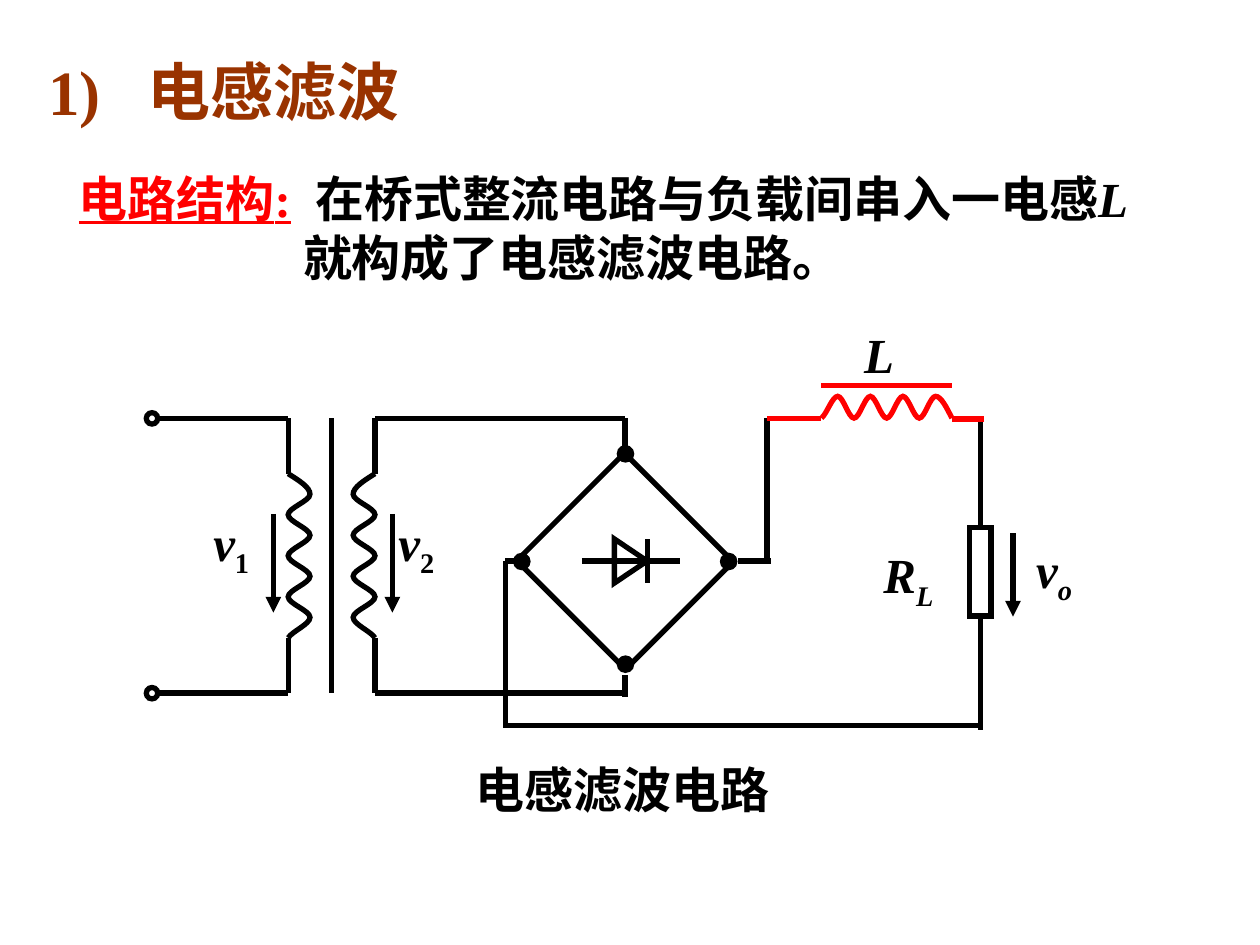
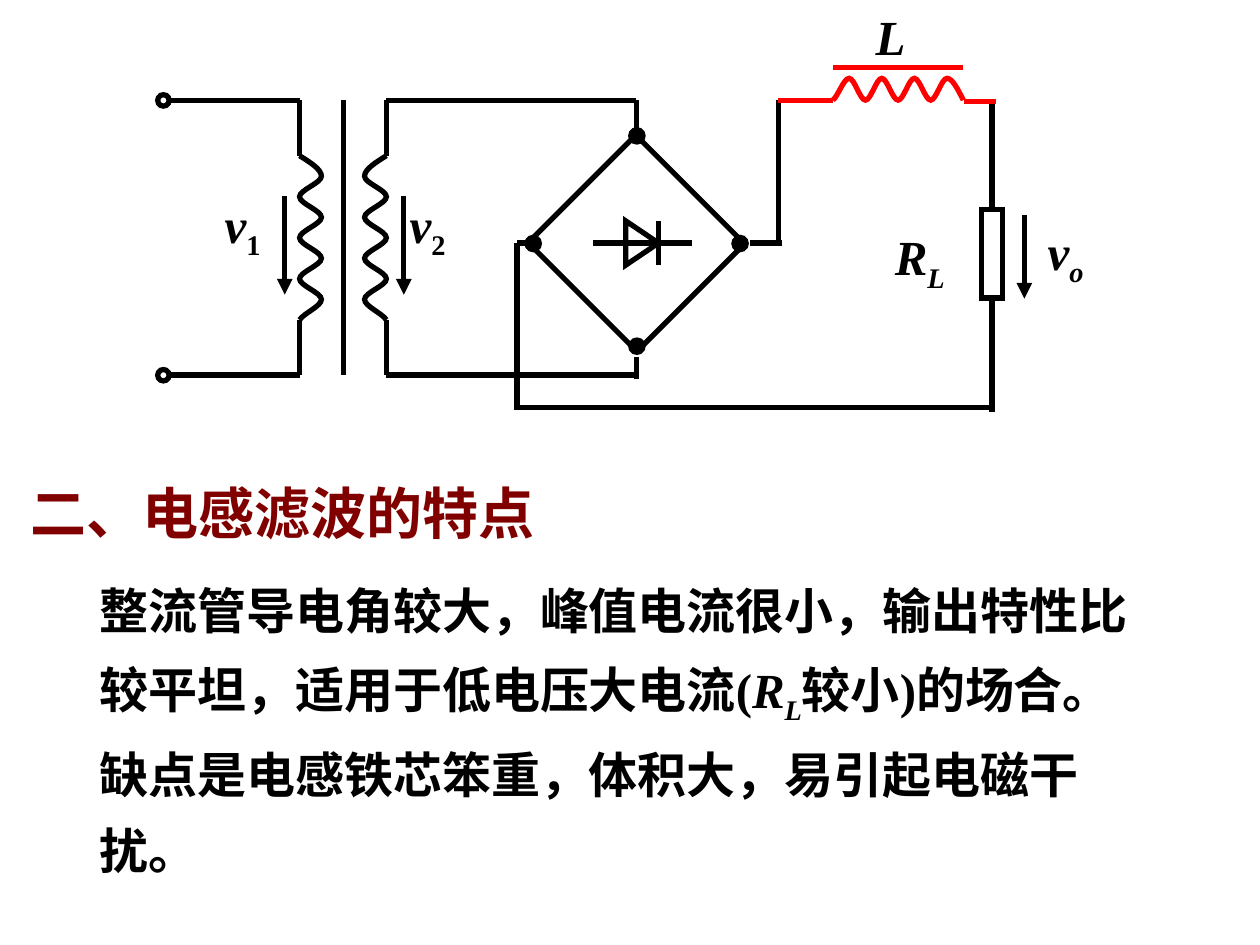
from lxml.etree import SubElement
from pptx import Presentation
from pptx.dml.color import RGBColor
from pptx.enum.lang import MSO_LANGUAGE_ID
from pptx.enum.shapes import MSO_CONNECTOR, MSO_SHAPE
from pptx.enum.text import MSO_ANCHOR
from pptx.oxml.ns import qn
from pptx.util import Cm, Pt

BLACK, WHITE, RED = "000000", "FFFFFF", "FF0000"
BROWN, MAROON = "993300", "800000"
HAN = {"font": "Arial"}
LATIN = {"font": "Times New Roman"}
ITALIC = {**LATIN, "italic": True}
SUBSCRIPT = {**LATIN, "baseline": -25}
ITALIC_SUBSCRIPT = {**ITALIC, "baseline": -25}


def color(code):
    """Turn a hex string into a colour."""
    return RGBColor.from_string(code)


def curve_segments(shape):
    """Turn every three straight segments of an outline into one cubic curve."""
    corners = list(shape._element.iter(qn("a:lnTo")))
    for first, second, third in zip(corners[::3], corners[1::3], corners[2::3]):
        first.tag = qn("a:cubicBezTo")
        for corner in (second, third):
            first.append(corner[0])
            corner.getparent().remove(corner)


class Sketch:
    """Holds the style, the current slide and the drawing offset."""

    def __init__(self):
        """Start an empty deck."""
        self.deck = Presentation()
        self.deck.slide_width, self.deck.slide_height = Cm(25.4), Cm(19.05)
        self.page = None
        self.shift = (0, 0)

    def new_page(self):
        """Add a blank slide and reset the offset."""
        self.page = self.deck.slides.add_slide(self.deck.slide_layouts[6])
        self.shift = (0, 0)

    def point(self, x, y):
        """Place a point with the current offset."""
        return Cm(x + self.shift[0]), Cm(y + self.shift[1])

    def outline(self, item, ink=BLACK, width=3):
        """Set the line of a shape or connector, with sharp corners."""
        item.line.color.rgb = color(ink)
        item.line.width = Pt(width)
        SubElement(item.line._get_or_add_ln(), qn("a:miter"), lim="800000")

    def line(self, start, end, ink=BLACK, arrow=False):
        """Draw a straight wire or an arrow."""
        wire = self.page.shapes.add_connector(
            MSO_CONNECTOR.STRAIGHT, *self.point(*start), *self.point(*end))
        self.outline(wire, ink)
        properties = wire.line._get_or_add_ln()
        if arrow:
            SubElement(properties, qn("a:tailEnd"), type="triangle")
        SubElement(properties.getparent(), qn("a:effectLst"))

    def route(self, *stops, ink=BLACK):
        """Draw wires through a list of points."""
        for start, end in zip(stops, stops[1:]):
            self.line(start, end, ink)

    def shape(self, kind, place, fill=None, width=3, rotation=0):
        """Draw a preset shape."""
        x, y, wide, high = place
        item = self.page.shapes.add_shape(kind, *self.point(x, y), Cm(wide), Cm(high))
        item.shadow.inherit = False
        item.rotation = rotation
        if fill:
            item.fill.solid()
            item.fill.fore_color.rgb = color(fill)
        else:
            item.fill.background()
        self.outline(item, width=width)

    def coil(self, start, along, across, ink=BLACK):
        """Draw a winding of four humps as an open curve."""
        rises = [.5, 1, 1] + [1, 0, 0, 0, 1, 1] * 3 + [1, .2, 0]
        points = [
            self.point(*(origin + step / len(rises) * forward + rise * out
                         for origin, forward, out in zip(start, along, across)))
            for step, rise in enumerate([0] + rises)]
        builder = self.page.shapes.build_freeform(*points[0])
        builder.add_line_segments(points[1:], close=False)
        winding = builder.convert_to_shape()
        curve_segments(winding)
        winding.shadow.inherit = False
        winding.fill.background()
        self.outline(winding, ink)

    def text(self, place, spans, size=28, ink=BLACK, anchor=MSO_ANCHOR.TOP,
             spacing=None, hanging=0):
        """Write one paragraph of bold runs."""
        x, y, wide, high = place
        box = self.page.shapes.add_textbox(*self.point(x, y), Cm(wide), Cm(high))
        frame = box.text_frame
        frame.word_wrap = True
        frame.vertical_anchor = anchor
        para = frame.paragraphs[0]
        if spacing:
            para.line_spacing = spacing
        properties = para._p.get_or_add_pPr()
        properties.set("hangingPunct", "0")
        if hanging:
            properties.set("marL", str(Cm(hanging)))
            properties.set("indent", str(-Cm(hanging)))
        for words, style in spans:
            self.span(para, words, size, **{"ink": ink, **style})

    def span(self, para, words, size, ink, font, italic=False, underline=False,
             baseline=0, gap=0):
        """Add one run to a paragraph."""
        span = para.add_run()
        span.text = words
        face = span.font
        face.size, face.bold, face.italic = Pt(size), True, italic
        face.underline = underline
        face.color.rgb = color(ink)
        face.name = font
        face.language_id = MSO_LANGUAGE_ID.SIMPLIFIED_CHINESE
        properties = span._r.get_or_add_rPr()
        SubElement(properties, qn("a:ea"), typeface=font)
        if baseline:
            properties.set("baseline", str(baseline * 1000))
        if gap:
            properties.set("spc", str(gap * 100))


def draw_transformer(sketch):
    """Draw the terminals, both windings and the core."""
    top, bottom, coil_top, coil_bottom = 8.43, 13.97, 9.55, 12.86
    primary, core, secondary, bridge = 5.81, 6.69, 7.56, 12.6
    for level, coil_end in ((top, coil_top), (bottom, coil_bottom)):
        sketch.shape(MSO_SHAPE.OVAL, (2.95, level - .11, .23, .23))
        sketch.route((3.18, level), (primary, level), (primary, coil_end))
        sketch.route((secondary, coil_end), (secondary, level), (bridge, level))
    for x, bulge in ((primary, .44), (secondary, -.44)):
        sketch.coil((x, coil_top), (0, coil_bottom - coil_top), (bulge, 0))
    sketch.line((core, top), (core, bottom))


def draw_bridge(sketch):
    """Draw the rectifier bridge with its diode and nodes."""
    middle, center = 11.31, 12.6
    sketch.shape(MSO_SHAPE.RECTANGLE, (11.05, 9.78, 3.1, 3.07), rotation=45)
    sketch.line((center, 8.43), (center, 9.09))
    sketch.line((center, 13.61), (center, 14.05))
    sketch.line((11.73, middle), (13.71, middle))
    sketch.line((13.05, 10.87), (13.05, 11.76))
    sketch.shape(MSO_SHAPE.ISOSCELES_TRIANGLE, (12.27, 10.98, .89, .66), rotation=90)
    for x, y in ((14.53, 11.16), (12.45, 8.99), (10.36, 11.16), (12.45, 13.23)):
        sketch.shape(MSO_SHAPE.OVAL, (x, y, .32, .32), fill=BLACK, width=1)


def draw_load(sketch):
    """Draw the inductor, the load resistor and the return wire."""
    top, middle, bottom, load = 8.43, 11.31, 14.63, 19.77
    sketch.line((load, 8.48), (load, 14.71))
    sketch.route((10.41, middle), (10.19, middle), (10.19, bottom))
    sketch.line((10.14, bottom), (19.79, bottom))
    sketch.line((14.88, middle), (15.54, middle))
    sketch.line((15.46, middle), (15.46, top))
    sketch.line((15.46, top), (16.56, top), RED)
    sketch.line((19.2, 8.45), (19.84, 8.45), RED)
    sketch.line((16.56, 7.77), (19.19, 7.77), RED)
    sketch.coil((19.19, top), (-2.63, 0), (0, -.44), RED)
    sketch.shape(MSO_SHAPE.RECTANGLE, (19.55, 10.64, .43, 1.78), fill=WHITE)


def draw_labels(sketch):
    """Draw the voltage arrows and the symbols."""
    for x, start, end in ((5.51, 10.36, 12.35), (7.91, 10.36, 12.35), (20.42, 10.75, 12.43)):
        sketch.line((x, start), (x, end), arrow=True)
    symbols = (
        (4.05, 10.21, "v", "1", SUBSCRIPT),
        (7.78, 10.21, "v", "2", SUBSCRIPT),
        (17.56, 10.86, "R", "L", ITALIC_SUBSCRIPT),
        (20.64, 10.75, "v", "o", ITALIC_SUBSCRIPT),
    )
    for x, y, letter, index, style in symbols:
        sketch.text((x, y, 2.3, 1.6), [(letter, ITALIC), (index, style)])
    sketch.text((17.17, 6.41, 1.2, 1.45), [("L", ITALIC)])


def draw_circuit(sketch, shift=(0, 0)):
    """Draw the whole inductor filter circuit at an offset."""
    sketch.shift = shift
    for draw in (draw_transformer, draw_load, draw_bridge, draw_labels):
        draw(sketch)
    sketch.shift = (0, 0)


def structure_page(sketch):
    """Build the slide on circuit structure."""
    sketch.new_page()
    sketch.text((.72, .93, 9, 1.78),
                [("1)", LATIN), (" ", {**LATIN, "gap": 18}), ("电感滤波", HAN)],
                size=36, ink=BROWN, anchor=MSO_ANCHOR.MIDDLE)
    marked = {"ink": RED, "underline": True}
    sketch.text((1.34, 3.26, 22.25, 2.64), [
        ("电路结构", {**HAN, **marked}),
        (":", {**LATIN, **marked}),
        (" ", {**LATIN, "gap": 7}),
        ("在桥式整流电路与负载间串入一电感", HAN),
        ("L", ITALIC),
        ("就构成了电感滤波电路。", HAN),
    ], anchor=MSO_ANCHOR.MIDDLE, hanging=4.52)
    draw_circuit(sketch)
    sketch.text((9.34, 15.19, 7, 1.45), [("电感滤波电路", HAN)])


def features_page(sketch):
    """Build the slide on the features of the filter."""
    sketch.new_page()
    draw_circuit(sketch, (.23, -6.41))
    sketch.text((.36, 9.53, 11.5, 1.63), [("二、电感滤波的特点", HAN)], size=32, ink=MAROON)
    sketch.text((1.76, 11.23, 21.8, 6.63), [
        ("整流管导电角较大，峰值电流很小，输出特性比较平坦，适用于低电压大电流", HAN),
        ("(", LATIN),
        ("R", ITALIC),
        ("L", ITALIC_SUBSCRIPT),
        ("较小", HAN),
        (")", LATIN),
        ("的场合。缺点是电感铁芯笨重，体积大，易引起电磁干扰。", HAN),
    ], spacing=1.3)


def main():
    """Build and save the deck."""
    sketch = Sketch()
    structure_page(sketch)
    features_page(sketch)
    sketch.deck.save("out.pptx")


if __name__ == "__main__":
    main()
